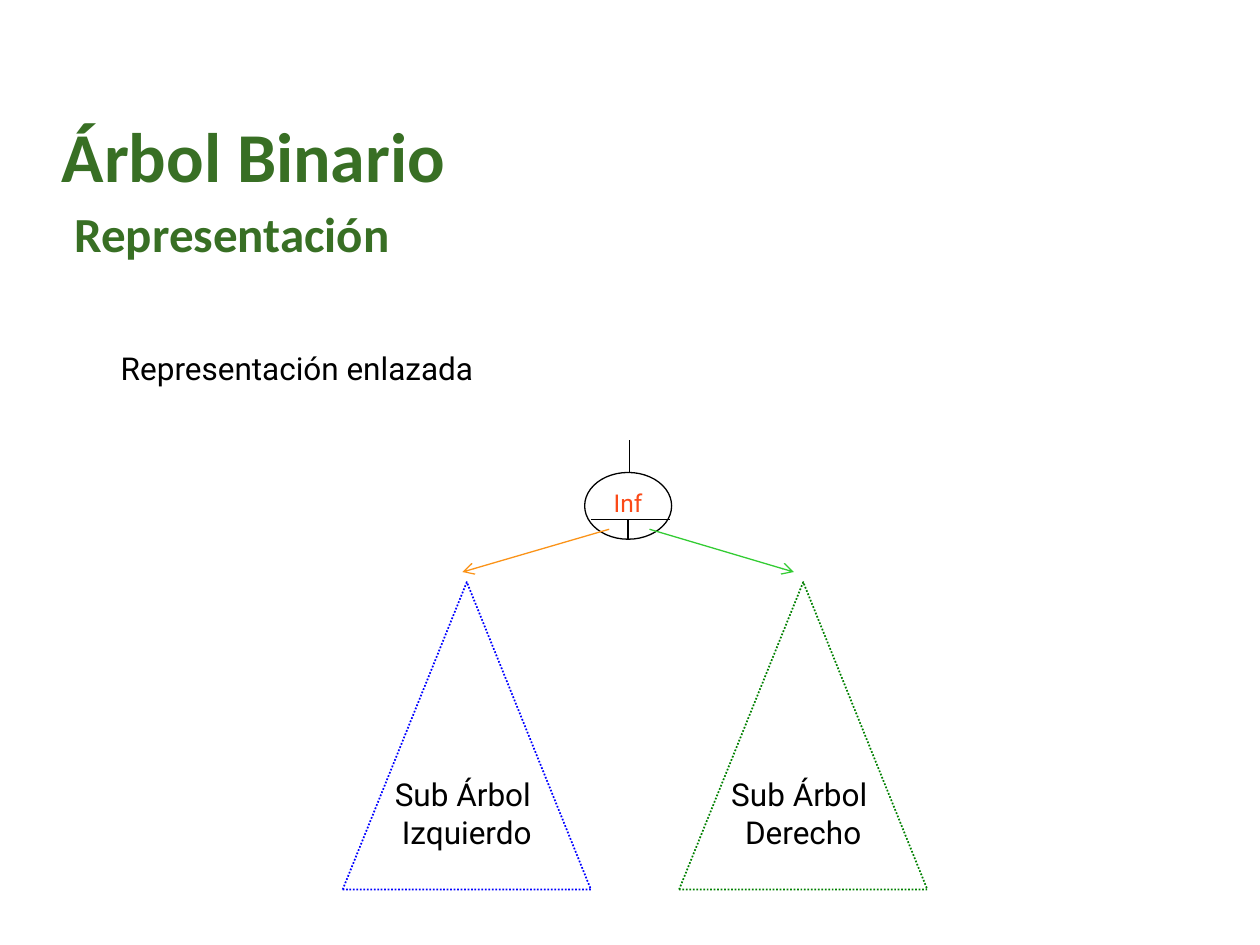
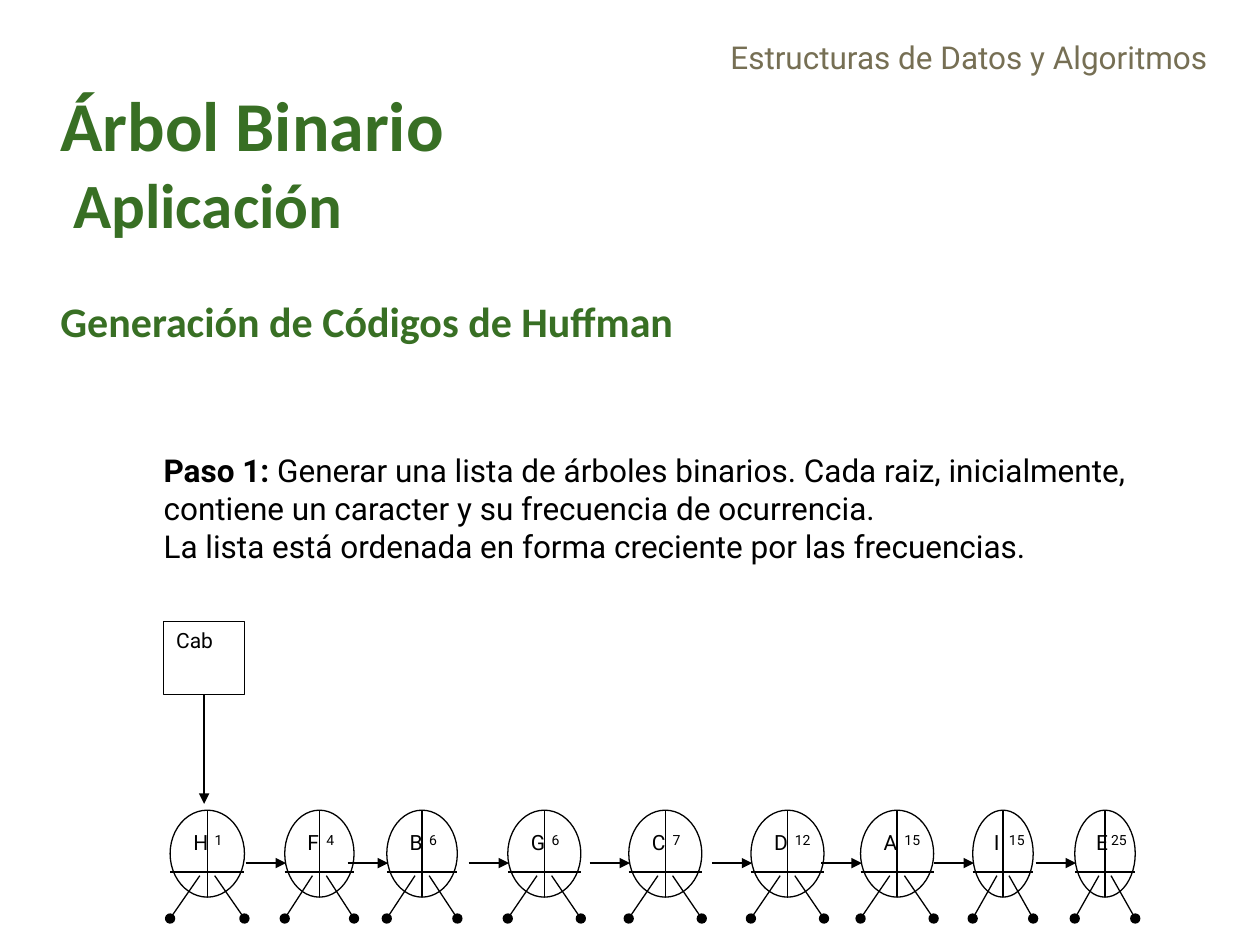
from pptx import Presentation
from pptx.dml.color import RGBColor
from pptx.enum import dml, shapes, text
from pptx.oxml import ns, xmlchemy
from pptx.util import Inches, Pt

BLACK = RGBColor(0x00, 0x00, 0x00)
WHITE = RGBColor(0xFF, 0xFF, 0xFF)
TITLE_GREEN = RGBColor(0x38, 0x6F, 0x24)
HEADER_OLIVE = RGBColor(0x76, 0x6F, 0x54)
INFO_RED = RGBColor(0xFB, 0x4A, 0x18)
LEFT_ORANGE = RGBColor(0xFB, 0x93, 0x18)
RIGHT_GREEN = RGBColor(0x33, 0xCC, 0x33)
LEFT_BLUE = RGBColor(0x00, 0x00, 0xFF)
RIGHT_DARK = RGBColor(0x00, 0x80, 0x00)

TITLE_FONT = "Calibri"
BODY_FONT = "Roboto"
LINE_WIDTH = 0.75
LEFT, CENTER = text.PP_ALIGN.LEFT, text.PP_ALIGN.CENTER
TOP, MIDDLE = text.MSO_ANCHOR.TOP, text.MSO_ANCHOR.MIDDLE


# Shared helpers
def add_runs(paragraph, runs, font, color):
    """Fill a paragraph from (words, size, bold) triples."""
    for words, size, bold in runs:
        run = paragraph.add_run()
        run.text = words
        run.font.name, run.font.size, run.font.bold = font, Pt(size), bold
        run.font.color.rgb = color


def write(shape, paragraphs, align=LEFT, color=BLACK, font=BODY_FONT,
          anchor=TOP, insets=(0.1, 0.05), wrap=True):
    frame = shape.text_frame
    frame.word_wrap = wrap
    frame.auto_size = text.MSO_AUTO_SIZE.NONE
    frame.vertical_anchor = anchor
    frame.margin_left = frame.margin_right = Inches(insets[0])
    frame.margin_top = frame.margin_bottom = Inches(insets[1])
    for index, runs in enumerate(paragraphs):
        paragraph = frame.add_paragraph() if index else frame.paragraphs[0]
        paragraph.alignment = align
        add_runs(paragraph, runs, font, color)


def add_text(slide, box, paragraphs, **style):
    shape = slide.shapes.add_textbox(*map(Inches, box))
    write(shape, paragraphs, **style)


def add_outline(slide, kind, box, color=BLACK, width=LINE_WIDTH, fill=None):
    shape = slide.shapes.add_shape(kind, *map(Inches, box))
    shape.shadow.inherit = False
    if fill is None:
        shape.fill.background()
    else:
        shape.fill.solid()
        shape.fill.fore_color.rgb = fill
    shape.line.color.rgb = color
    shape.line.width = Pt(width)
    return shape


def add_line(slide, start, end, color=BLACK, tip=None):
    line = slide.shapes.add_connector(
        shapes.MSO_CONNECTOR.STRAIGHT, *map(Inches, (*start, *end)))
    line.line.color.rgb = color
    line.line.width = Pt(LINE_WIDTH)
    if tip:
        tail = xmlchemy.OxmlElement("a:tailEnd")
        tail.set("type", tip)
        line.line._get_or_add_ln().append(tail)
    properties = line._element.find(ns.qn("p:spPr"))
    properties.append(xmlchemy.OxmlElement("a:effectLst"))


def add_titled_slide(presentation, box, title_lines):
    slide = presentation.slides.add_slide(presentation.slide_layouts[5])
    title = slide.shapes.title
    title.left, title.top, title.width, title.height = map(Inches, box)
    write(title, title_lines, color=TITLE_GREEN, font=TITLE_FONT, insets=(0, 0))
    return slide


# Linked representation: root node with its two subtrees
def draw_root(slide, left, top, width, height):
    middle = left + width / 2
    bar = top + 0.7 * height
    link = top + 0.85 * height
    node = add_outline(slide, shapes.MSO_SHAPE.OVAL, (left, top, width, height))
    write(node, [[("Inf", 14, False)]], align=CENTER, color=INFO_RED)
    add_line(slide, (middle - 0.15, link), (3.67, 4.54), LEFT_ORANGE, "arrow")
    add_line(slide, (middle + 0.17, link), (6.3, 4.54), RIGHT_GREEN, "arrow")
    add_line(slide, (middle + 0.01, top), (middle + 0.01, top - 0.26))
    add_line(slide, (left + 0.05, bar), (left + width - 0.01, bar))
    add_line(slide, (middle, bar), (middle, top + height))


def draw_subtree(slide, box, side, color):
    triangle = add_outline(
        slide, shapes.MSO_SHAPE.ISOSCELES_TRIANGLE, box, color, 1)
    triangle.line.dash_style = dml.MSO_LINE.ROUND_DOT
    write(triangle, [[("Sub Árbol ", 18, False)], [(side, 18, False)]],
          align=CENTER, anchor=MIDDLE, wrap=False)


def build_representation(presentation):
    slide = add_titled_slide(presentation, (0.49, 0.89, 9.03, 1.21), [
        [("Árbol Binario", 40, True)],
        [(" ", 32, True), ("Representación", 28, True)],
    ])
    draw_root(slide, 4.64, 3.75, 0.69, 0.53)
    draw_subtree(slide, (2.72, 4.62, 1.97, 2.44), "Izquierdo", LEFT_BLUE)
    draw_subtree(slide, (5.39, 4.62, 1.97, 2.44), "Derecho", RIGHT_DARK)
    add_text(slide, (0.86, 2.72, 3.28, 0.4),
             [[("Representación enlazada", 18, False)]])


# Huffman list: letter, frequency, left edge and width of each tree
TREES = [
    ("H", 1, 1.35, 0.59), ("F", 4, 2.26, 0.55), ("B", 6, 3.07, 0.56),
    ("G", 6, 4.03, 0.58), ("C", 7, 4.99, 0.58), ("D", 12, 5.96, 0.58),
    ("A", 15, 6.83, 0.58), ("I", 15, 7.72, 0.48), ("E", 25, 8.53, 0.48),
]
ARROW_LENGTH = 0.32


def draw_tree(slide, letter, frequency, left, top, width, height=0.69):
    middle, right = left + width / 2, left + width
    bar = top + 0.49
    node = add_outline(slide, shapes.MSO_SHAPE.OVAL,
                       (left, top, width, height), fill=WHITE)
    write(node, [[(letter, 12, False)]])
    add_line(slide, (middle, top), (middle, top + height))
    add_line(slide, (left, bar), (right, bar))
    add_text(slide, (middle + 0.1 * width, top + 0.17, 0.4 * width, 0.35),
             [[(str(frequency), 8, False)]], insets=(0, 0))
    # Empty child links
    for direction, edge in ((-1, left), (1, right)):
        start = (middle + direction * 0.1 * width, top + 0.52)
        add_line(slide, start, (edge, top + 0.86), tip="oval")


def draw_list(slide, top):
    for letter, frequency, left, width in TREES:
        draw_tree(slide, letter, frequency, left, top, width)
    level = top + 0.42
    for _, _, left, _ in TREES[1:]:
        end = left + 0.01
        add_line(slide, (end - ARROW_LENGTH, level), (end, level), tip="triangle")


def draw_head(slide, left, top, width, height):
    middle, bottom = left + width / 2, top + height
    add_line(slide, (middle, bottom), (middle, bottom + 0.87), tip="triangle")
    head = add_outline(slide, shapes.MSO_SHAPE.RECTANGLE,
                       (left, top, width, height), fill=WHITE)
    write(head, [[("Cab", 12, False)]])


def build_huffman(presentation):
    slide = add_titled_slide(presentation, (0.48, 0.65, 9.03, 2.15), [
        [("Árbol Binario", 40, True)],
        [(" ", 32, True), ("Aplicación", 36, True)],
        [("Generación de Códigos de Huffman", 24, True)],
    ])
    slide.shapes.title.text_frame.paragraphs[2].space_before = Pt(31)
    add_text(slide, (1.2, 3.53, 8.58, 1), [
        [("Paso 1:", 18, True),
         (" Generar una lista de árboles binarios. Cada raiz, inicialmente, "
          "contiene un caracter y su frecuencia de ocurrencia.", 18, False)],
        [("La lista está ordenada en forma creciente por las frecuencias.",
          18, False)],
    ])
    draw_list(slide, 6.43)
    draw_head(slide, 1.3, 4.93, 0.64, 0.58)
    add_text(slide, (5.63, 0.25, 4.12, 0.7),
             [[("Estructuras de Datos y Algoritmos", 18, False)]],
             align=CENTER, color=HEADER_OLIVE)


def main():
    presentation = Presentation()
    presentation.slide_width, presentation.slide_height = Inches(10), Inches(7.5)
    build_representation(presentation)
    build_huffman(presentation)
    presentation.save("out.pptx")


if __name__ == "__main__":
    main()
